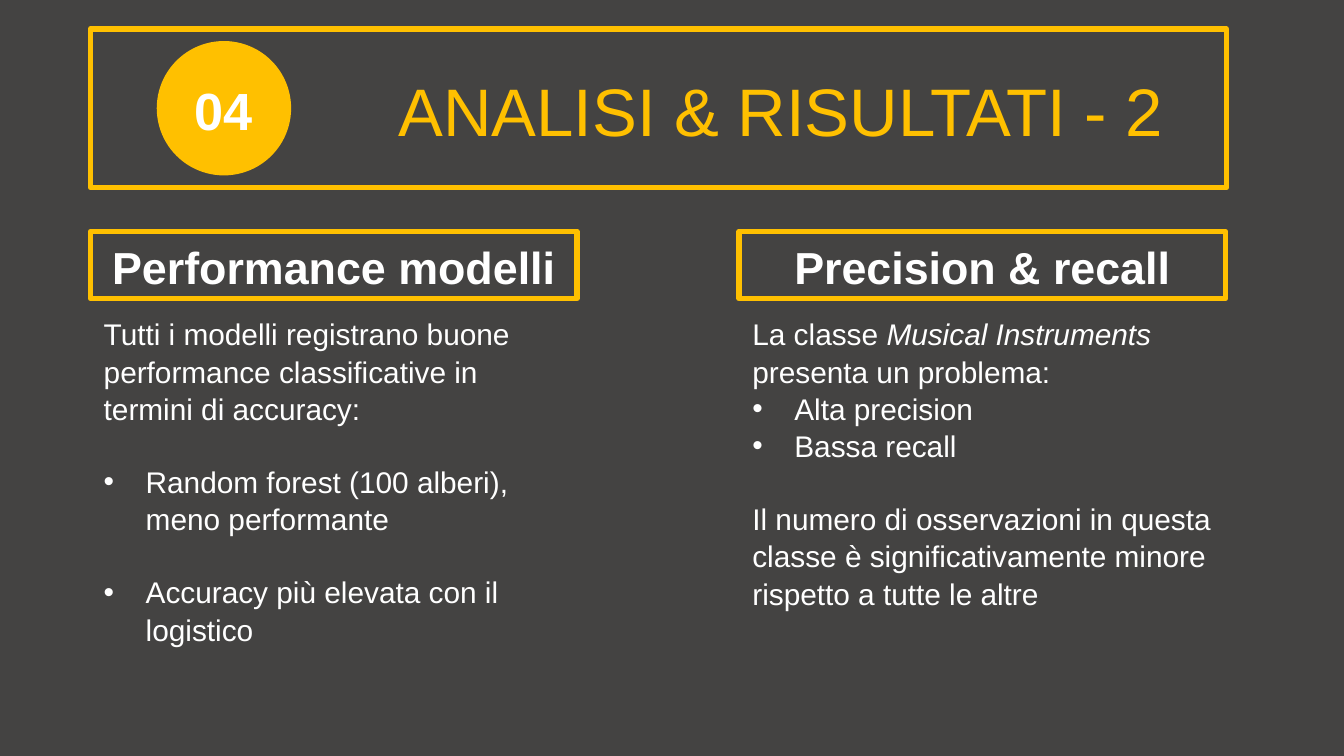
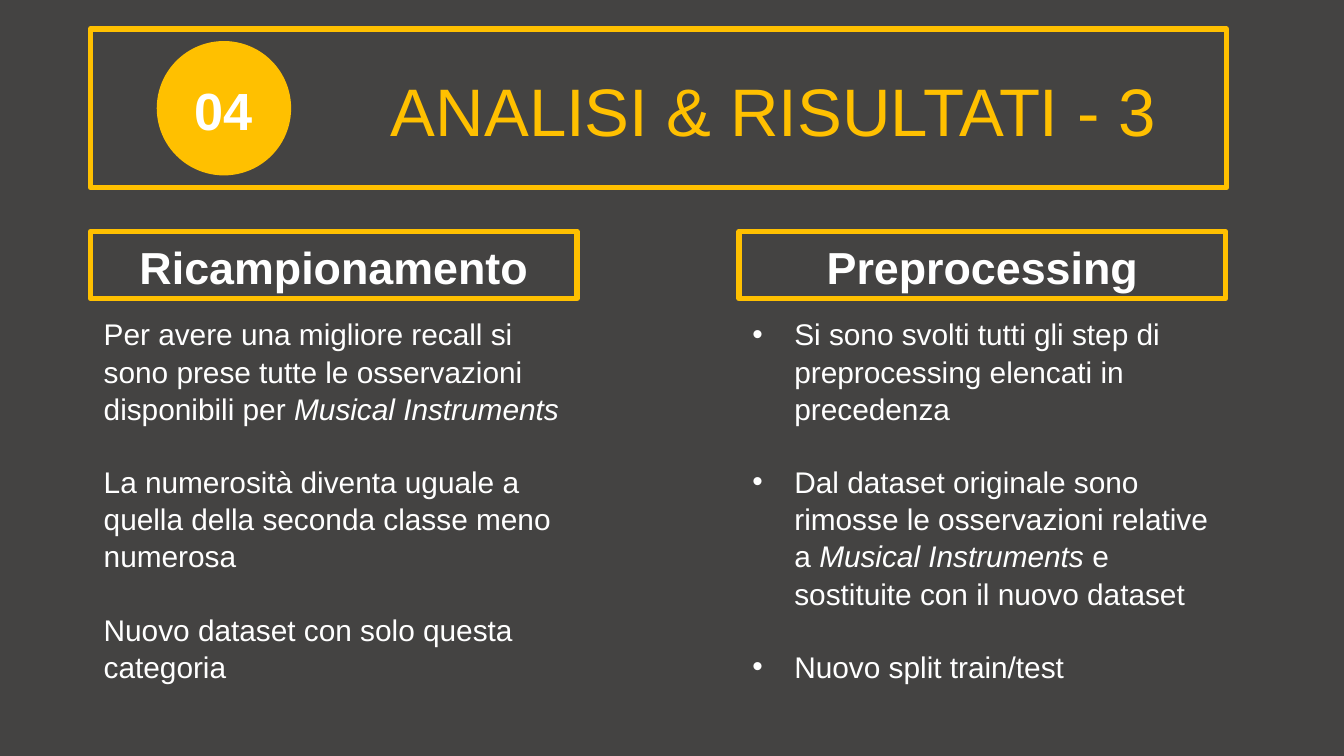
from dataclasses import dataclass

from lxml import etree
from pptx import Presentation
from pptx.dml.color import RGBColor
from pptx.enum import shapes, text
from pptx.oxml import ns
from pptx.util import Pt

GREY = RGBColor(0x44, 0x43, 0x42)
GOLD = RGBColor(0xFF, 0xC0, 0x00)
WHITE = RGBColor(0xFF, 0xFF, 0xFF)
FONT = "Arial"

COLUMN_LEFTS = (48.5, 396)
COLUMN_WIDTH = 260.5
HEADING_TOP, HEADING_HEIGHT = 124, 36
BODY_TOP = 165
LINE_SPACING = 1.04
BLANK_LINE = 19.2
BULLET_INDENT = 22.5


@dataclass(frozen=True)
class Run:
    wording: str
    italic: bool = False


@dataclass(frozen=True)
class Para:
    runs: tuple[Run, ...]
    bullet: bool = False
    gap: bool = False


@dataclass(frozen=True)
class Column:
    heading: str
    body_height: float
    paras: tuple[Para, ...]


@dataclass(frozen=True)
class Page:
    title: str
    title_width: float
    columns: tuple[Column, Column]


def para(*wordings: str, bullet: bool = False, gap: bool = False) -> Para:
    """Alternate upright and italic runs, starting upright."""
    runs = tuple(Run(wording, i % 2 == 1) for i, wording in enumerate(wordings))
    return Para(runs, bullet, gap)


PAGES = (
    Page("ANALISI & RISULTATI - 2", 450, (
        Column("Performance modelli", 181.5, (
            para("Tutti i modelli registrano buone performance classificative "
                 "in termini di accuracy:"),
            para("Random forest (100 alberi), meno performante", bullet=True, gap=True),
            para("Accuracy più elevata con il logistico", bullet=True, gap=True),
        )),
        Column("Precision & recall", 162.5, (
            para("La classe ", "Musical Instruments ", "presenta un problema:"),
            para("Alta precision", bullet=True),
            para("Bassa recall", bullet=True),
            para("Il numero di osservazioni in questa classe è significativamente "
                 "minore rispetto a tutte le altre", gap=True),
        )),
    )),
    Page("ANALISI & RISULTATI - 3", 442, (
        Column("Ricampionamento", 201, (
            para("Per avere una migliore recall si sono prese tutte le osservazioni "
                 "disponibili per ", "Musical Instruments"),
            para("La numerosità diventa uguale a quella della seconda classe "
                 "meno numerosa", gap=True),
            para("Nuovo dataset con solo questa categoria", gap=True),
        )),
        Column("Preprocessing", 201, (
            para("Si sono svolti tutti gli step di preprocessing elencati "
                 "in precedenza", bullet=True),
            para("Dal dataset originale sono rimosse le osservazioni relative a ",
                 "Musical Instruments ", "e sostituite con il nuovo dataset",
                 bullet=True, gap=True),
            para("Nuovo split train/test", bullet=True, gap=True),
        )),
    )),
)


def add_bullet(paragraph) -> None:
    props = paragraph._p.get_or_add_pPr()
    props.set("marL", str(Pt(BULLET_INDENT)))
    props.set("indent", str(-Pt(BULLET_INDENT)))
    etree.SubElement(props, ns.qn("a:buFont")).set("typeface", FONT)
    etree.SubElement(props, ns.qn("a:buChar")).set("char", "•")


def write(shape, paras: tuple[Para, ...], size: float, color: RGBColor = WHITE,
          bold: bool = False, align=text.PP_ALIGN.CENTER,
          anchor=text.MSO_ANCHOR.MIDDLE) -> None:
    frame = shape.text_frame
    frame.word_wrap = True
    frame.vertical_anchor = anchor
    for i, content in enumerate(paras):
        paragraph = frame.add_paragraph() if i else frame.paragraphs[0]
        paragraph.alignment = align
        paragraph.line_spacing = LINE_SPACING
        paragraph.space_before = Pt(BLANK_LINE if content.gap else 0)
        if content.bullet:
            add_bullet(paragraph)
        for part in content.runs:
            run = paragraph.add_run()
            run.text = part.wording
            font = run.font
            font.name, font.size = FONT, Pt(size)
            font.bold, font.italic = bold, part.italic
            font.color.rgb = color


def add_text_box(slide, left: float, top: float, width: float, height: float):
    return slide.shapes.add_textbox(Pt(left), Pt(top), Pt(width), Pt(height))


def add_frame(slide, left: float, top: float, width: float, height: float):
    frame = slide.shapes.add_shape(shapes.MSO_SHAPE.RECTANGLE,
                                   Pt(left), Pt(top), Pt(width), Pt(height))
    frame.shadow.inherit = False
    frame.fill.background()
    frame.line.color.rgb = GOLD
    frame.line.width = Pt(3)
    return frame


def add_header(slide, page: Page) -> None:
    title = add_text_box(slide, 193.5, 35.5, page.title_width, 45)
    write(title, (para(page.title),), 36, GOLD)
    add_frame(slide, COLUMN_LEFTS[0], 15.5, 608.5, 85)
    badge = slide.shapes.add_shape(shapes.MSO_SHAPE.OVAL,
                                   Pt(84), Pt(22), Pt(72), Pt(72))
    badge.shadow.inherit = False
    badge.fill.solid()
    badge.fill.fore_color.rgb = GOLD
    badge.line.fill.background()
    write(badge, (para("04"),), 28, bold=True)


def add_column(slide, column: Column, left: float) -> None:
    body = add_text_box(slide, left, BODY_TOP, COLUMN_WIDTH, column.body_height)
    write(body, column.paras, 16, align=text.PP_ALIGN.LEFT, anchor=text.MSO_ANCHOR.TOP)
    heading = add_frame(slide, left, HEADING_TOP, COLUMN_WIDTH, HEADING_HEIGHT)
    write(heading, (para(column.heading),), 24, bold=True, anchor=text.MSO_ANCHOR.TOP)


def main() -> None:
    deck = Presentation()
    deck.slide_width, deck.slide_height = Pt(720), Pt(405)
    for page in PAGES:
        slide = deck.slides.add_slide(deck.slide_layouts[6])
        slide.background.fill.solid()
        slide.background.fill.fore_color.rgb = GREY
        add_header(slide, page)
        for column, left in zip(page.columns, COLUMN_LEFTS):
            add_column(slide, column, left)
    deck.save("out.pptx")


if __name__ == "__main__":
    main()
